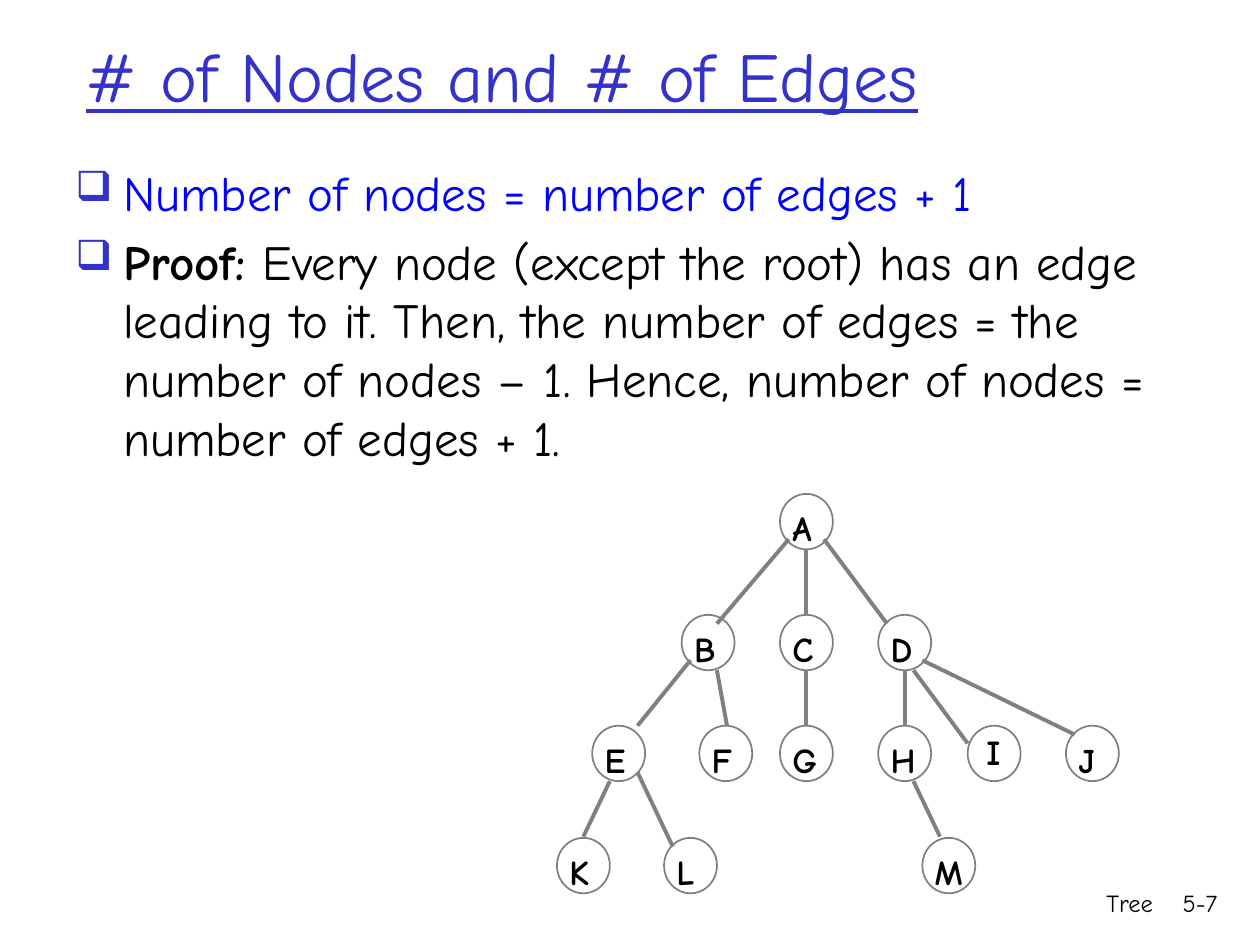
"""Build a slide on the number of nodes and edges in a tree."""
from typing import NamedTuple

from lxml import etree
from pptx import Presentation
from pptx.dml.color import RGBColor
from pptx.enum.shapes import MSO_CONNECTOR, MSO_SHAPE
from pptx.enum.text import MSO_ANCHOR, MSO_AUTO_SIZE, PP_ALIGN
from pptx.oxml.ns import qn
from pptx.util import Inches, Pt

OVAL = MSO_SHAPE.OVAL
STRAIGHT = MSO_CONNECTOR.STRAIGHT
LEFT, RIGHT = PP_ALIGN.LEFT, PP_ALIGN.RIGHT
TOP, MIDDLE = MSO_ANCHOR.TOP, MSO_ANCHOR.MIDDLE
GROW, FIXED = MSO_AUTO_SIZE.SHAPE_TO_FIT_TEXT, MSO_AUTO_SIZE.NONE
FACE = "Comic Neue"
BLACK, GRAY, BLUE, INDIGO = "000000", "808080", "0000FF", "3333CC"
WIDE, HIGH = 0.42, 0.44
ROWS = (3.92, 4.88, 5.76, 6.65)


class Node(NamedTuple):
    """A circle of the tree, with its label width and label offset."""
    name: str
    left: float
    row: int
    width: float
    dx: float = 0
    dy: float = 0.05


class Edge(NamedTuple):
    """A line from a parent to a child."""
    x1: float
    y1: float
    x2: float
    y2: float


NODES = (
    Node("A", 6.19, 0, 0.41),
    Node("B", 5.41, 1, 0.38),
    Node("C", 6.19, 1, 0.38),
    Node("D", 6.97, 1, 0.41),
    Node("E", 4.7, 2, 0.39),
    Node("F", 5.55, 2, 0.37),
    Node("G", 6.19, 2, 0.39),
    Node("H", 6.97, 2, 0.42),
    Node("I", 7.68, 2, 0.35, 0.05, -0.01),
    Node("J", 8.46, 2, 0.39),
    Node("K", 4.42, 3, 0.37),
    Node("L", 5.27, 3, 0.36),
    Node("M", 7.32, 3, 0.45),
)
EDGES = (
    Edge(6.26, 4.28, 5.69, 4.95),
    Edge(6.4, 4.36, 6.4, 4.87),
    Edge(6.54, 4.28, 7.04, 4.95),
    Edge(5.48, 5.24, 5.06, 5.76),
    Edge(5.69, 5.32, 5.77, 5.76),
    Edge(6.4, 5.32, 6.4, 5.76),
    Edge(7.18, 5.32, 7.18, 5.76),
    Edge(7.25, 5.32, 7.68, 5.9),
    Edge(7.32, 5.24, 8.53, 5.83),
    Edge(4.84, 6.2, 4.63, 6.64),
    Edge(5.06, 6.13, 5.34, 6.72),
    Edge(7.25, 6.2, 7.46, 6.64),
)
PROOF = (
    "Every node (except the root) has an edge leading to it. Then, the "
    "number of edges = the number of nodes – 1. Hence, number of nodes = "
    "number of edges + 1."
)


def color(code: str) -> RGBColor:
    """Return the colour of a hex string."""
    return RGBColor.from_string(code)


def style(para, size: float, code: str = BLACK, bold=None) -> None:
    """Set the font of a paragraph."""
    font = para.font
    font.name, font.size, font.bold = FACE, Pt(size), bold
    font.color.rgb = color(code)


def add_text(slide, text: str, box: tuple, size: float, align=LEFT,
             bold=None, wrap: bool = True):
    """Add a text box with one paragraph and return its frame."""
    frame = slide.shapes.add_textbox(*map(Inches, box)).text_frame
    frame.word_wrap = wrap
    frame.auto_size = FIXED if wrap else GROW
    frame.vertical_anchor = TOP
    para = frame.paragraphs[0]
    para.text, para.alignment = text, align
    style(para, size, bold=bold)
    return frame


def add_bullet(para) -> None:
    """Give a paragraph a hanging box bullet."""
    props = para._p.get_or_add_pPr()
    props.set("marL", str(Inches(0.38)))
    props.set("indent", str(-Inches(0.38)))
    tint = etree.SubElement(props, qn("a:buClr"))
    etree.SubElement(tint, qn("a:srgbClr"), val=INDIGO)
    etree.SubElement(props, qn("a:buSzPct"), val="85000")
    etree.SubElement(props, qn("a:buChar"), char="❑")


def add_title(slide) -> None:
    """Place and format the title."""
    title = slide.shapes.title
    title.left, title.top = Inches(0.58), Inches(0.25)
    title.width, title.height = Inches(8.5), Inches(0.68)
    frame = title.text_frame
    frame.text = "# of Nodes and # of Edges"
    frame.vertical_anchor, frame.auto_size = MIDDLE, FIXED
    para = frame.paragraphs[0]
    para.alignment = LEFT
    style(para, 40, INDIGO)
    para.font.underline = True


def add_body(slide) -> None:
    """Add the claim and its proof."""
    box = slide.shapes.add_textbox(*map(Inches, (0.5, 1.24, 8.97, 2.56)))
    frame = box.text_frame
    frame.word_wrap = True
    claim, proof = frame.paragraphs[0], frame.add_paragraph()
    claim.text = "Number of nodes = number of edges + 1"
    head = proof.add_run()
    head.text, head.font.bold = "Proof: ", True
    proof.add_run().text = PROOF
    proof.space_before = Pt(5.6)
    for para, code in ((claim, BLUE), (proof, BLACK)):
        add_bullet(para)
        style(para, 28, code)


def add_node(slide, node: Node) -> None:
    """Draw a circle and its label."""
    top = ROWS[node.row]
    oval = slide.shapes.add_shape(
        OVAL, *map(Inches, (node.left, top, WIDE, HIGH)))
    oval.shadow.inherit = False
    oval.fill.background()
    oval.line.color.rgb = color(GRAY)
    oval.line.width = Pt(1)
    box = (node.left + node.dx, top + node.dy, node.width, HIGH)
    add_text(slide, node.name, box, 20, bold=True, wrap=False)


def add_edge(slide, edge: Edge) -> None:
    """Draw a line of the tree."""
    line = slide.shapes.add_connector(STRAIGHT, *map(Inches, edge))
    line.line.color.rgb = color(GRAY)
    line.line.width = Pt(2.25)
    etree.SubElement(line._element.spPr, qn("a:effectLst"))


def main() -> None:
    """Build and save the slide."""
    deck = Presentation()
    deck.slide_width, deck.slide_height = Inches(10), Inches(7.5)
    slide = deck.slides.add_slide(deck.slide_layouts[5])
    add_title(slide)
    add_body(slide)
    add_text(slide, "Tree", (6.08, 7, 3.17, 0.5), 14, RIGHT)
    add_text(slide, "5-7", (9.08, 7, 0.68, 0.5), 14, RIGHT)
    for node in NODES:
        add_node(slide, node)
    for edge in EDGES:
        add_edge(slide, edge)
    deck.save("out.pptx")


if __name__ == "__main__":
    main()
